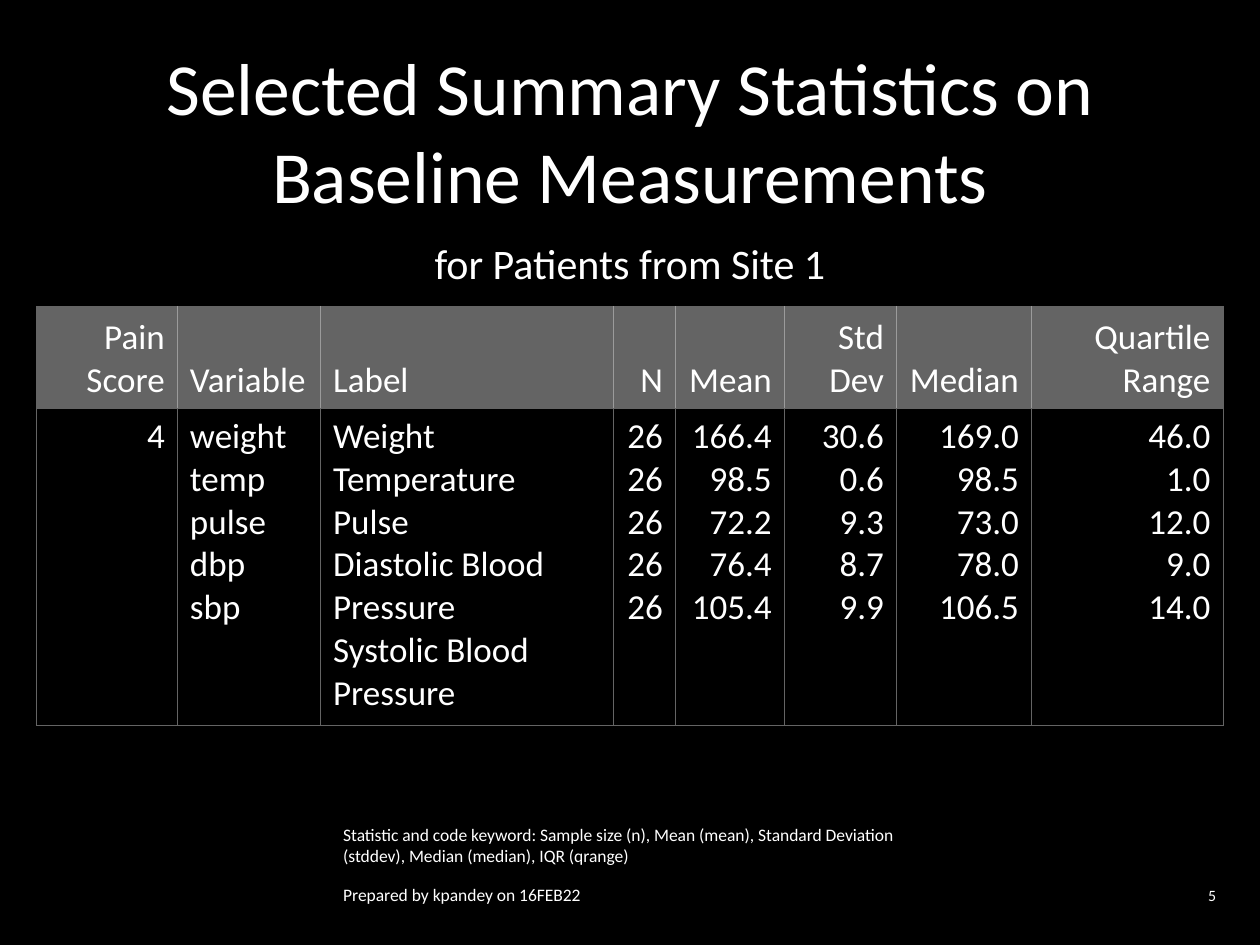
from lxml.etree import SubElement
from pptx import Presentation
from pptx.dml.color import RGBColor
from pptx.enum.text import MSO_ANCHOR, PP_ALIGN
from pptx.oxml.ns import qn
from pptx.util import Pt

BLACK, WHITE, GREY, PALE = "000000", "FFFFFF", "646464", "9B9B9B"
LEFT, MID, RIGHT = PP_ALIGN.LEFT, PP_ALIGN.CENTER, PP_ALIGN.RIGHT


def paint(part, tone):
    if hasattr(part, "solid"):
        part.solid()
        part = part.fore_color
    part.rgb = RGBColor.from_string(tone)


def write(frame, text, size, align):
    frame.text = text
    look = {"name": "Calibri", "size": Pt(size), "bold": False}
    for para in frame.paragraphs:
        para.alignment = align
        for run in para.runs:
            for key, value in look.items():
                setattr(run.font, key, value)
            paint(run.font.color, WHITE)


deck = Presentation()
deck.slide_width, deck.slide_height = Pt(720), Pt(540)
slide = deck.slides.add_slide(deck.slide_layouts[6])
paint(slide.background.fill, BLACK)

notes = [
    ("Selected Summary Statistics on Baseline Measurements", 42, MID, (18, 18, 684, 112.5)),
    ("for Patients from Site 1", 24, MID, (18, 130.5, 684, 39.5)),
    ("Statistic and code keyword: Sample size (n), Mean (mean), Standard Deviation "
     "(stddev), Median (median), IQR (qrange)", 10, LEFT, (189, 465.5, 342, 34.5)),
    ("Prepared by kpandey on 16FEB22", 10, LEFT, (189, 500, 342, 22.5)),
    ("5", 9, RIGHT, (531, 501, 171, 21)),
]
for text, size, align, place in notes:
    box = slide.shapes.add_textbox(*[Pt(n) for n in place])
    form = {"word_wrap": True, "vertical_anchor": MSO_ANCHOR.MIDDLE}
    for key, value in form.items():
        setattr(box.text_frame, key, value)
    write(box.text_frame, text, size, align)

fields = [
    ("Pain Score", 80.5, RIGHT, ["4"]),
    ("Variable", 81.8, LEFT, ["weight", "temp", "pulse", "dbp", "sbp"]),
    ("Label", 167.6, LEFT, ["Weight", "Temperature", "Pulse",
                            "Diastolic Blood Pressure", "Systolic Blood Pressure"]),
    ("N", 35.3, RIGHT, ["26"] * 5),
    ("Mean", 62.2, RIGHT, ["166.4", "98.5", "72.2", "76.4", "105.4"]),
    ("Std Dev", 64.1, RIGHT, ["30.6", "0.6", "9.3", "8.7", "9.9"]),
    ("Median", 77.2, RIGHT, ["169.0", "98.5", "73.0", "78.0", "106.5"]),
    ("Quartile Range", 109.4, RIGHT, ["46.0", "1.0", "12.0", "9.0", "14.0"]),
]
last = len(fields) - 1
wide = sum(field[1] for field in fields)
grid = slide.shapes.add_table(2, len(fields), Pt(20.9), Pt(175), Pt(wide), Pt(239.5)).table
for row, high in zip(grid.rows, (58.5, 181)):
    row.height = Pt(high)

for col, (head, width, align, items) in enumerate(fields):
    grid.columns[col].width = Pt(width)
    for row, text in enumerate((head, "\v".join(items))):
        cell = grid.cell(row, col)
        write(cell.text_frame, text, 20, align)
        cell.vertical_anchor = MSO_ANCHOR.TOP if row else MSO_ANCHOR.BOTTOM
        inner = GREY if row else PALE
        edges = {
            "a:lnL": inner if col else GREY,
            "a:lnR": inner if col < last else GREY,
            "a:lnT": GREY,
            "a:lnB": GREY,
        }
        props = cell._tc.get_or_add_tcPr()
        for tag, tone in edges.items():
            line = SubElement(props, qn(tag), w=str(Pt(0.5)))
            fill = SubElement(line, qn("a:solidFill"))
            SubElement(fill, qn("a:srgbClr"), val=tone)
        paint(cell.fill, BLACK if row else GREY)

deck.save("out.pptx")
